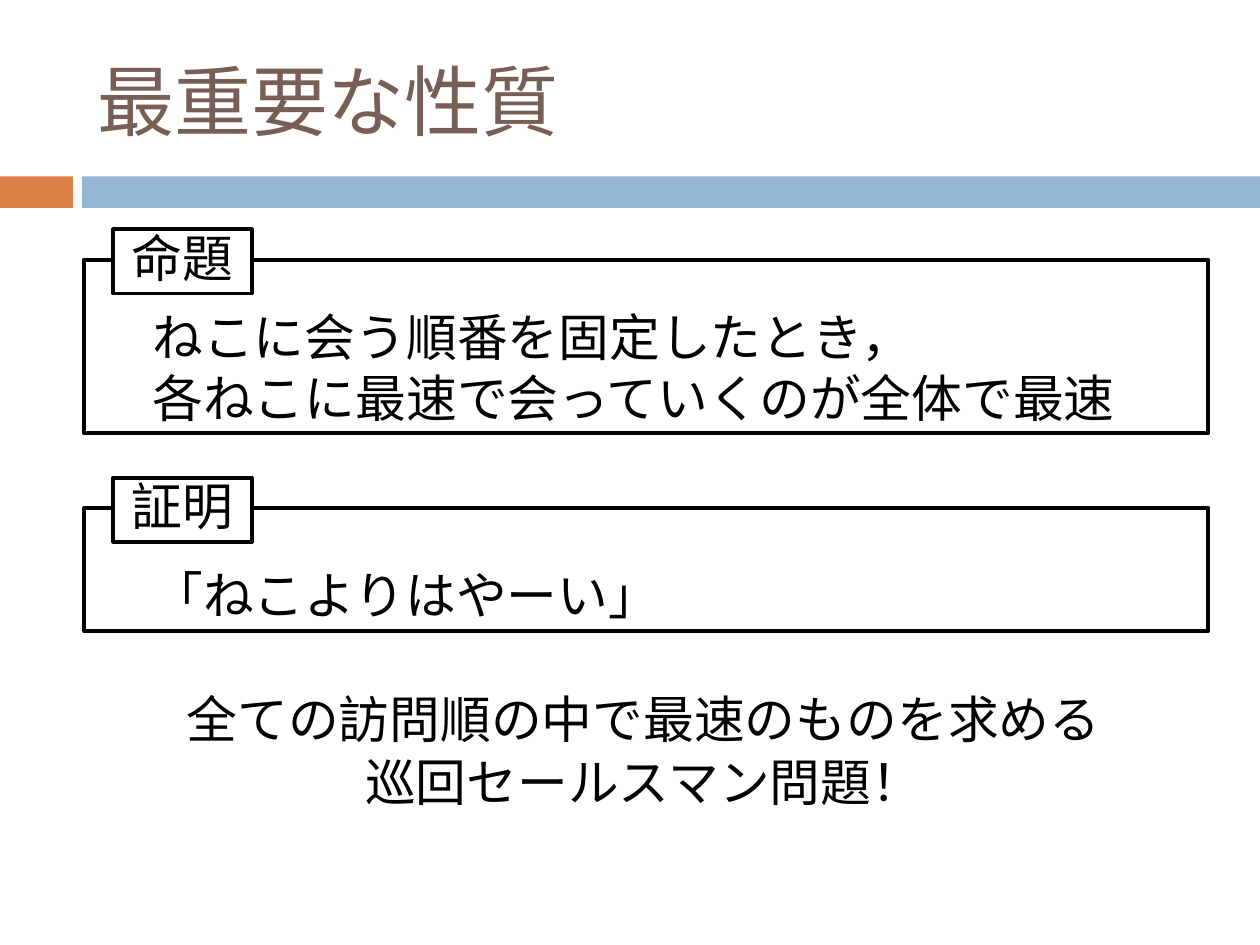
from pptx import Presentation
from pptx.dml.color import RGBColor
from pptx.enum import shapes, text
from pptx.oxml.ns import qn
from pptx.util import Inches, Pt
from lxml import etree

LATIN, JAPANESE = "Calibri", "Noto Sans CJK JP"
BLACK, WHITE = "000000", "FFFFFF"
PANEL_LEFT, PANEL_WIDTH = 0.67, 8.92


def color(value):
    return RGBColor.from_string(value)


def style_runs(frame, size, font, ink):
    for para in frame.paragraphs:
        for span in para.runs:
            span.font.size = Pt(size)
            span.font.name = font
            span.font.color.rgb = color(ink)
            # Japanese characters take the East Asian font
            east_asian = etree.SubElement(span.font._element, qn("a:ea"))
            east_asian.set("typeface", font)


def add_box(page, left, top, width, height, fill, line=None):
    box = page.shapes.add_shape(
        shapes.MSO_SHAPE.RECTANGLE,
        Inches(left), Inches(top), Inches(width), Inches(height))
    box.shadow.inherit = False
    box.fill.solid()
    box.fill.fore_color.rgb = color(fill)
    if line:
        box.line.color.rgb = color(line)
        box.line.width = Pt(2.25)
    else:
        box.line.fill.background()
    return box


def write(box, content, align, anchor, font=LATIN):
    frame = box.text_frame
    frame.word_wrap = True
    frame.vertical_anchor = anchor
    frame.text = content
    for para in frame.paragraphs:
        para.alignment = align
    style_runs(frame, 29, font, BLACK)
    return frame


def add_title(page, content):
    title = page.shapes.title
    title.left, title.top = Inches(PANEL_LEFT), Inches(0.25)
    title.width, title.height = Inches(PANEL_WIDTH), Inches(1.08)
    frame = title.text_frame
    frame.text = content
    frame.vertical_anchor = text.MSO_ANCHOR.MIDDLE
    frame.paragraphs[0].alignment = text.PP_ALIGN.LEFT
    style_runs(frame, 44, JAPANESE, "775F55")


def add_labelled_panel(page, top, height, label, content):
    panel = add_box(page, PANEL_LEFT, top, PANEL_WIDTH, height, WHITE, BLACK)
    frame = write(panel, content, text.PP_ALIGN.LEFT, text.MSO_ANCHOR.BOTTOM)
    frame.margin_left = Inches(0.54)
    # The label straddles the panel's top edge
    tag = add_box(page, 0.9, top - 0.24, 1.1, 0.51, WHITE, BLACK)
    write(tag, label, text.PP_ALIGN.CENTER, text.MSO_ANCHOR.BOTTOM)


def add_conclusion(page, content):
    box = add_box(page, 0.65, 5.48, PANEL_WIDTH, 1.02, WHITE)
    frame = write(box, content, text.PP_ALIGN.CENTER,
                  text.MSO_ANCHOR.MIDDLE, JAPANESE)
    for para in frame.paragraphs:
        para.line_spacing = 0.83
    for para in frame.paragraphs[1:]:
        para.space_before = Pt(7)


def main():
    deck = Presentation()
    deck.slide_width, deck.slide_height = Inches(10), Inches(7.5)
    page = deck.slides.add_slide(deck.slide_layouts[5])

    # Heading and divider bars
    add_box(page, 0, 1.4, 0.58, 0.25, "DD8047")
    add_box(page, 0.65, 1.4, 9.35, 0.25, "94B6D2")
    add_title(page, "最重要な性質")

    # Proposition and proof
    add_labelled_panel(page, 2.06, 1.38, "命題",
                       "ねこに会う順番を固定したとき，\v"
                       "各ねこに最速で会っていくのが全体で最速")
    add_labelled_panel(page, 4.03, 0.98, "証明", "「ねこよりはやーい」")

    # Conclusion
    add_conclusion(page, "全ての訪問順の中で最速のものを求める\n"
                         "巡回セールスマン問題！")
    deck.save("out.pptx")


if __name__ == "__main__":
    main()
